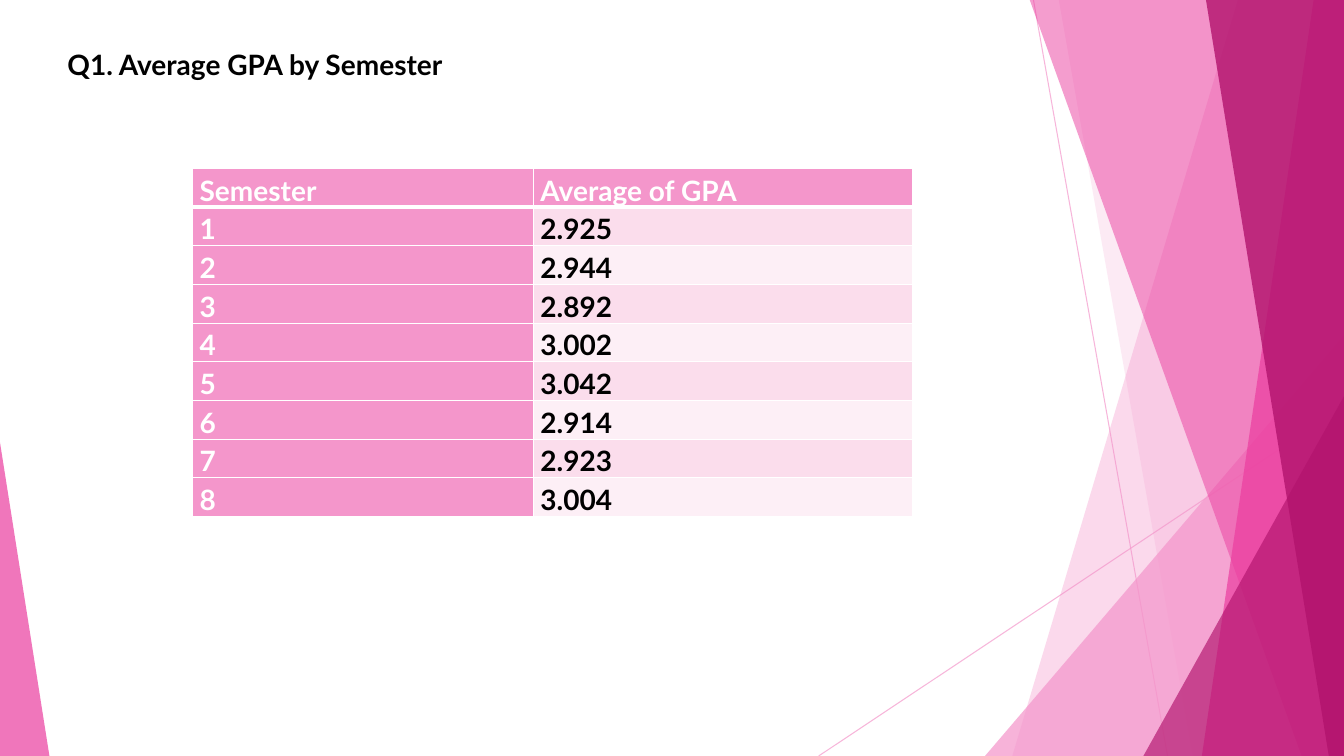
from lxml.etree import SubElement
from pptx import Presentation
from pptx.dml.color import RGBColor
from pptx.enum.shapes import MSO_CONNECTOR, MSO_SHAPE
from pptx.enum.text import MSO_AUTO_SIZE
from pptx.oxml.ns import qn
from pptx.util import Pt

PX = 9144
WIDTH, HEIGHT, TOP = 1333, 750, -1
WHITE = RGBColor(0xFF, 0xFF, 0xFF)
BLACK = RGBColor(0x00, 0x00, 0x00)
PINK = RGBColor(0xF4, 0x96, 0xCB)
MAGENTA = RGBColor(0xEB, 0x3D, 0x9F)
BERRY = RGBColor(0xB2, 0x13, 0x6D)
BAND_DARK = RGBColor(0xFB, 0xDD, 0xEC)
BAND_LIGHT = RGBColor(0xFD, 0xEF, 0xF6)

HEADINGS = ("Semester", "Average of GPA")
AVERAGES = ("2.925", "2.944", "2.892", "3.002", "3.042", "2.914", "2.923", "3.004")


def write(frame, text, color=BLACK, size=20, bold=True, font="Lato", spacing=None):
    """Put one formatted line of text in a text frame."""
    para = frame.paragraphs[0]
    para.line_spacing = spacing
    span = para.add_run()
    span.text = text
    span.font.name = font
    span.font.size = Pt(size)
    span.font.bold = bold
    span.font.color.rgb = color


def set_opacity(shape, percent):
    """Make the colour of a shape partly transparent."""
    for color in shape.element.spPr.iter(qn("a:srgbClr")):
        SubElement(color, qn("a:alpha"), val=str(percent * 1000))


def set_borders(cell, top, bottom, color=WHITE):
    """Draw the four sides of a table cell."""
    properties = cell._tc.get_or_add_tcPr()
    for side, points in (("lnL", 1), ("lnR", 1), ("lnT", top), ("lnB", bottom)):
        line = SubElement(properties, qn(f"a:{side}"), w=str(Pt(points)))
        fill = SubElement(line, qn("a:solidFill"))
        SubElement(fill, qn("a:srgbClr"), val=str(color))


class SlideBuilder:
    """Draws styled elements on one slide."""

    def __init__(self, page):
        """Keep the slide to draw on."""
        self.page = page
        self.shapes = page.shapes

    def paint(self, shape, color, opacity):
        """Give a shape a plain see-through fill."""
        shape.shadow.inherit = False
        shape.fill.solid()
        shape.fill.fore_color.rgb = color
        shape.line.fill.background()
        set_opacity(shape, opacity)

    def ray(self, start, end):
        """Draw a thin pink line."""
        points = [value * PX for value in (*start, *end)]
        line = self.shapes.add_connector(MSO_CONNECTOR.STRAIGHT, *points)
        line.line.color.rgb = PINK
        line.line.width = Pt(0.75)
        set_opacity(line, 70)
        SubElement(line.element.spPr, qn("a:effectLst"))

    def shard(self, top_left, bottom_left, color, opacity):
        """Fill from a slanted left edge to the right side of the slide."""
        builder = self.shapes.build_freeform(top_left, TOP, scale=PX)
        builder.add_line_segments(
            [(WIDTH, TOP), (WIDTH, HEIGHT), (bottom_left, HEIGHT)], close=True
        )
        self.paint(builder.convert_to_shape(), color, opacity)

    def corner(self, left, top, width, apex, color, opacity):
        """Draw a triangle standing on the bottom of the slide."""
        shape = self.shapes.add_shape(
            MSO_SHAPE.ISOSCELES_TRIANGLE,
            left * PX, top * PX, width * PX, (HEIGHT - top) * PX,
        )
        shape.adjustments[0] = apex
        self.paint(shape, color, opacity)

    def title(self, text, left, top, width, height):
        """Write the slide heading."""
        box = self.shapes.add_textbox(left * PX, top * PX, width * PX, height * PX)
        box.text_frame.word_wrap = True
        box.text_frame.auto_size = MSO_AUTO_SIZE.SHAPE_TO_FIT_TEXT
        write(box.text_frame, text)

    def cell(self, cell, text, fill, color, top=1, bottom=1):
        """Fill and label one table cell."""
        cell.margin_left = cell.margin_right = 7 * PX
        cell.margin_top = cell.margin_bottom = 0
        set_borders(cell, top, bottom)
        cell.fill.solid()
        cell.fill.fore_color.rgb = fill
        write(cell.text_frame, text, color=color, spacing=1.15)

    def table(self, left, top, widths, header_height, row_height):
        """Build the table of averages by semester."""
        count = len(AVERAGES)
        table = self.shapes.add_table(
            count + 1, len(widths), left * PX, top * PX,
            sum(widths) * PX, (header_height + count * row_height) * PX,
        ).table
        table.horz_banding = False
        for column, width in zip(table.columns, widths):
            column.width = width * PX
        for index, row in enumerate(table.rows):
            row.height = (row_height if index else header_height) * PX
        for index, heading in enumerate(HEADINGS):
            self.cell(table.cell(0, index), heading, PINK, WHITE, bottom=3)
        for semester, average in enumerate(AVERAGES, 1):
            top_line = 3 if semester == 1 else 1
            band = BAND_DARK if semester % 2 else BAND_LIGHT
            self.cell(table.cell(semester, 0), str(semester), PINK, WHITE, top=top_line)
            self.cell(table.cell(semester, 1), average, band, BLACK, top=top_line)


def main():
    """Build and save the deck."""
    deck = Presentation()
    deck.slide_width, deck.slide_height = WIDTH * PX, HEIGHT * PX
    slide = SlideBuilder(deck.slides.add_slide(deck.slide_layouts[6]))
    slide.ray((1025, 0), (1158, HEIGHT))
    slide.ray((WIDTH, 403), (812, HEIGHT))
    slide.shard(1228, 1004, PINK, 36)
    slide.shard(1050, 1183, PINK, 20)
    slide.corner(977, 333, 356, 1, PINK, 72)
    slide.shard(1021, 1291, MAGENTA, 50)
    slide.shard(1303, 1192, MAGENTA, 70)
    slide.shard(1196, 1318, BERRY, 80)
    slide.corner(1134, 393, 199, 1, BERRY, 66)
    slide.corner(0, 439, 49, 0, MAGENTA, 70)
    slide.title("Q1. Average GPA by Semester", 57, 42, 677, 44)
    slide.table(191, 167, (338, 376), 38, 35)
    deck.save("out.pptx")


if __name__ == "__main__":
    main()
